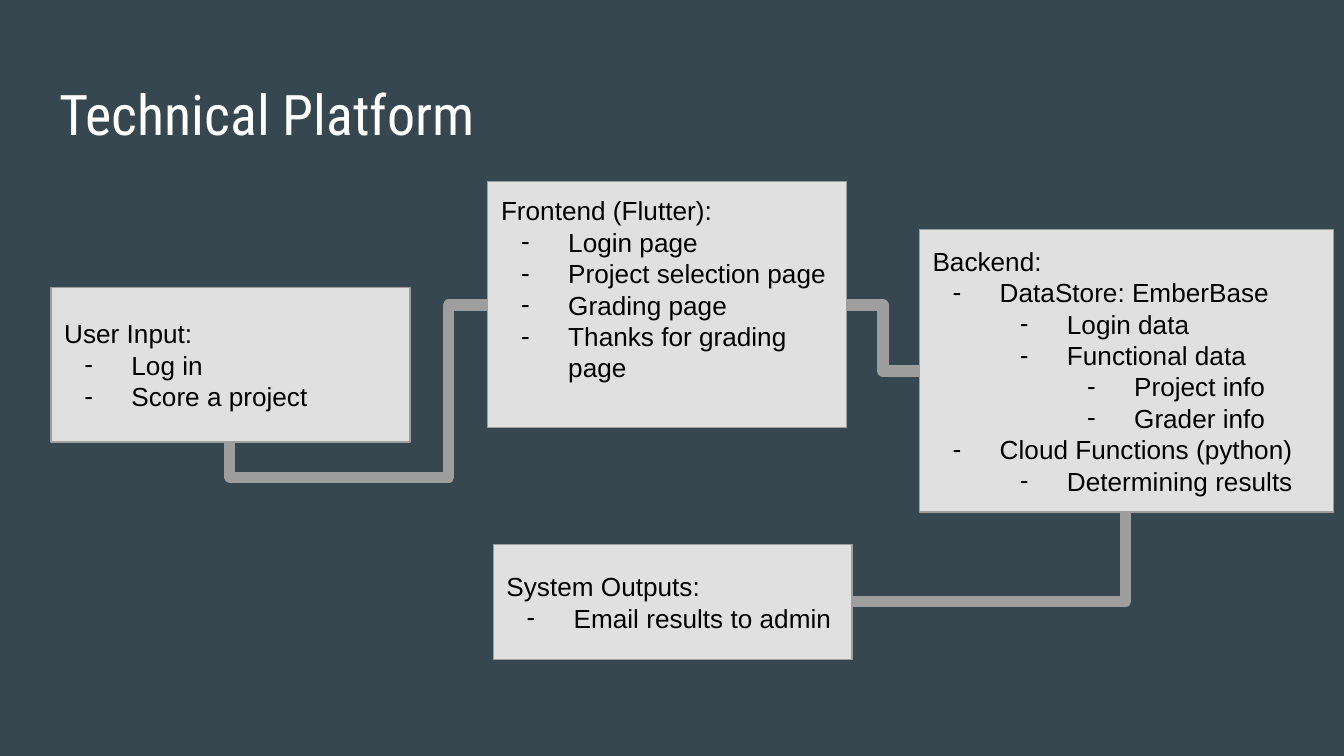
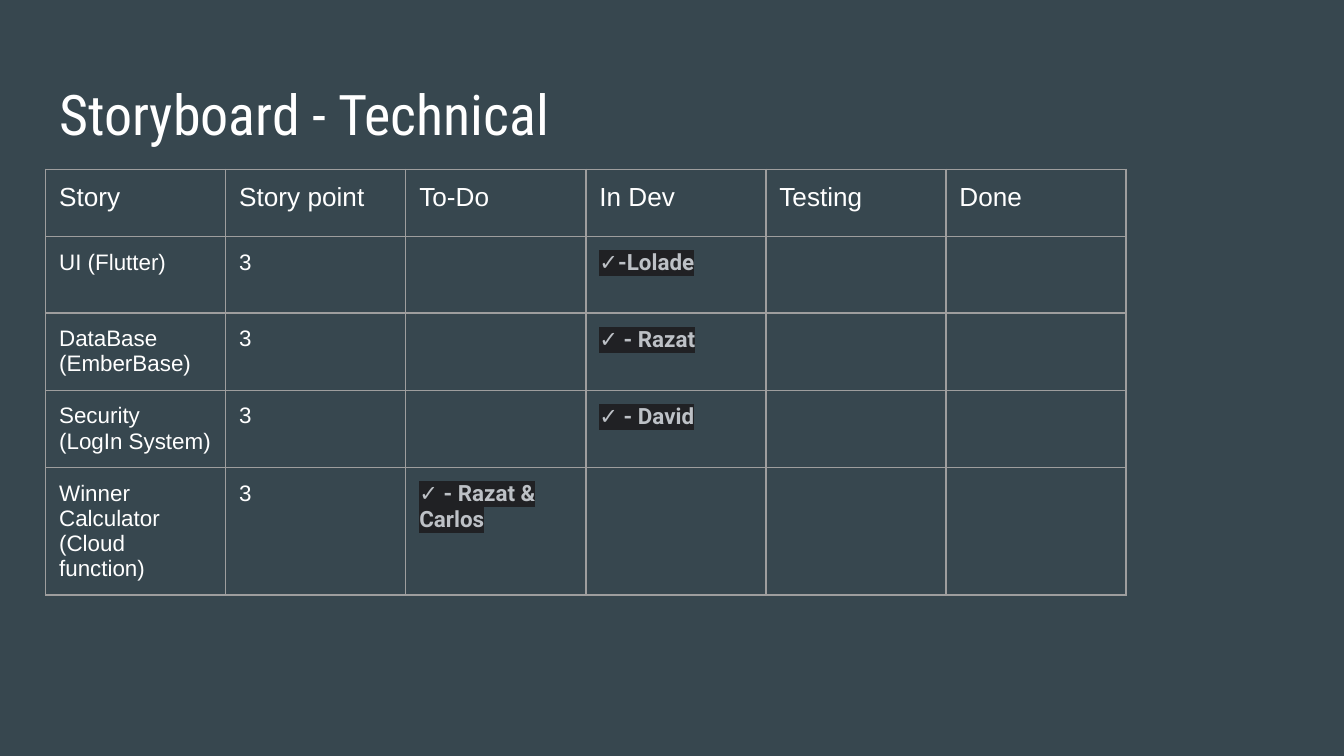
from lxml.etree import SubElement
from pptx import Presentation
from pptx.dml.color import RGBColor
from pptx.enum.shapes import MSO_CONNECTOR as CONN, MSO_SHAPE as SHAPE
from pptx.enum.text import MSO_ANCHOR as ANCHOR, MSO_AUTO_SIZE as FIT, PP_ALIGN as ALIGN
from pptx.oxml.ns import qn
from pptx.util import Inches, Pt

BG, PANEL, GREY = "37474F", "E0E0E0", "9E9E9E"
WHITE, BLACK, TAG, TAG_BG = "FFFFFF", "000000", "BDC1C6", "202124"
rgb = RGBColor.from_string


def write(tf, text, size=14, font="Arial", color=WHITE, bold=False, highlight=None):
    for i, line in enumerate(text.split("\n")):
        p = tf.paragraphs[0] if i == 0 else tf.add_paragraph()
        level = len(line) - len(line.lstrip("-"))
        p.alignment = ALIGN.LEFT
        if level:
            p.level = level - 1
            pPr = p._p.get_or_add_pPr()
            pPr.set("marL", str(Inches(0.5 * level)))
            pPr.set("indent", str(-Inches(0.35)))
            SubElement(SubElement(pPr, qn("a:buClr")), qn("a:srgbClr"), val=color)
            SubElement(pPr, qn("a:buFont"), typeface=font)
            SubElement(pPr, qn("a:buChar"), char="-")
        r = p.add_run()
        r.text = line.lstrip("-")
        r.font.size, r.font.name, r.font.bold = Pt(size), font, bold
        r.font.color.rgb = rgb(color)
        if highlight:
            rPr = r._r.get_or_add_rPr()
            mark = SubElement(rPr, qn("a:highlight"))
            SubElement(mark, qn("a:srgbClr"), val=highlight)
            rPr.find(qn("a:latin")).addprevious(mark)


def add_slide(title):
    s = prs.slides.add_slide(prs.slide_layouts[5])
    sp = s.shapes.title
    sp.left, sp.top, sp.width, sp.height = map(Inches, (0.34, 0.49, 9.32, 0.63))
    tf = sp.text_frame
    tf.margin_left = tf.margin_right = tf.margin_top = tf.margin_bottom = Inches(0.1)
    tf.vertical_anchor, tf.auto_size, tf.word_wrap = ANCHOR.TOP, FIT.NONE, True
    write(tf, title, size=30, font="Roboto Condensed")
    return s


prs = Presentation()
prs.slide_width = Inches(10)
prs.slide_height = prs.slide_width * 9 // 16
fill = prs.slide_master.background.fill
fill.solid()
fill.fore_color.rgb = rgb(BG)

s = add_slide("Technical Platform")
panels = {
    "backend": (6.84, 1.71, 3.08, 2.1, 0.1,
                "Backend:\n-DataStore: EmberBase\n--Login data\n--Functional data\n---Project info\n"
                "---Grader info\n-Cloud Functions (python)\n--Determining results"),
    "frontend": (3.63, 1.35, 2.67, 1.83, 0.33,
                 "Frontend (Flutter):\n-Login page\n-Project selection page\n-Grading page\n"
                 "-Thanks for grading page"),
    "input": (0.38, 2.14, 2.67, 1.15, 0.1, "User Input:\n-Log in\n-Score a project"),
    "output": (3.67, 4.05, 2.67, 0.86, 0.1, "System Outputs:\n-Email results to admin"),
}
boxes = {}
for name, (x, y, w, h, bottom, text) in panels.items():
    sp = s.shapes.add_shape(SHAPE.RECTANGLE, *map(Inches, (x, y, w, h)))
    sp.shadow.inherit = False
    sp.fill.solid()
    sp.fill.fore_color.rgb = rgb(PANEL)
    sp.line.color.rgb = rgb(GREY)
    sp.line.width = Pt(0.75)
    tf = sp.text_frame
    tf.margin_left = tf.margin_right = tf.margin_top = Inches(0.1)
    tf.margin_bottom = Inches(bottom)
    tf.vertical_anchor, tf.word_wrap = ANCHOR.MIDDLE, True
    write(tf, text, color=BLACK)
    boxes[name] = sp

TOP, LEFT, BOTTOM, RIGHT = range(4)
links = [
    ("input", BOTTOM, "frontend", LEFT, (2.16, 1.82, 1.02, 1.92), 270, "bentConnector4", (-25700, 84800)),
    ("frontend", RIGHT, "backend", LEFT, (6.3, 2.27, 0.54, 0.49), 0, "bentConnector3", (50000,)),
    ("backend", BOTTOM, "output", RIGHT, (7.02, 3.12, 0.67, 2.04), 90, "bentConnector2", ()),
]
for start, start_side, end, end_side, frame, turn, preset, bends in links:
    c = s.shapes.add_connector(CONN.ELBOW, 0, 0, 0, 0)
    c.begin_connect(boxes[start], start_side)
    c.end_connect(boxes[end], end_side)
    c.left, c.top, c.width, c.height = map(Inches, frame)
    c.line.color.rgb = rgb(GREY)
    c.line.width = Pt(6)
    spPr = c._element.spPr
    xfrm = spPr.find(qn("a:xfrm"))
    for key, value in (("rot", turn * 60000), ("flipH", 0), ("flipV", 0)):
        xfrm.set(key, str(value))
    geom = spPr.find(qn("a:prstGeom"))
    geom.set("prst", preset)
    guides = geom.find(qn("a:avLst"))
    for i, bend in enumerate(bends, 1):
        SubElement(guides, qn("a:gd"), name=f"adj{i}", fmla=f"val {bend}")
    SubElement(spPr.find(qn("a:ln")), qn("a:round"))
    SubElement(spPr, qn("a:effectLst"))

s = add_slide("Storyboard - Technical")
stories = [
    ["Story", "Story point", "To-Do", "In Dev", "Testing", "Done"],
    ["UI (Flutter)", "3", "", "✓-Lolade", "", ""],
    ["DataBase (EmberBase)", "3", "", "✓ - Razat", "", ""],
    ["Security\n(LogIn System)", "3", "", "✓ - David", "", ""],
    ["Winner Calculator\n(Cloud function)", "3", "✓ - Razat & Carlos", "", "", ""],
]
heights = [0.5, 0.57, 0.57, 0.57, 0.95]
table = s.shapes.add_table(len(stories), len(stories[0]), Inches(0.34), Inches(1.26),
                           Inches(8.04), Inches(sum(heights))).table
table.first_row = table.horz_banding = False
for col in table.columns:
    col.width = Inches(1.34)
for i, (row, height) in enumerate(zip(stories, heights)):
    table.rows[i].height = Inches(height)
    for j, text in enumerate(row):
        cell = table.cell(i, j)
        cell.margin_left = cell.margin_right = cell.margin_top = cell.margin_bottom = Inches(0.1)
        tcPr = cell._tc.get_or_add_tcPr()
        for side in ("lnL", "lnR", "lnT", "lnB"):
            ln = SubElement(tcPr, qn(f"a:{side}"), w=str(Pt(0.75)))
            SubElement(SubElement(ln, qn("a:solidFill")), qn("a:srgbClr"), val=GREY)
        cell.fill.background()
        if text.startswith("✓"):
            write(cell.text_frame, text, size=12, font="Roboto", color=TAG, bold=True, highlight=TAG_BG)
        elif text:
            write(cell.text_frame, text, size=12 if i else 14)

prs.save("out.pptx")
